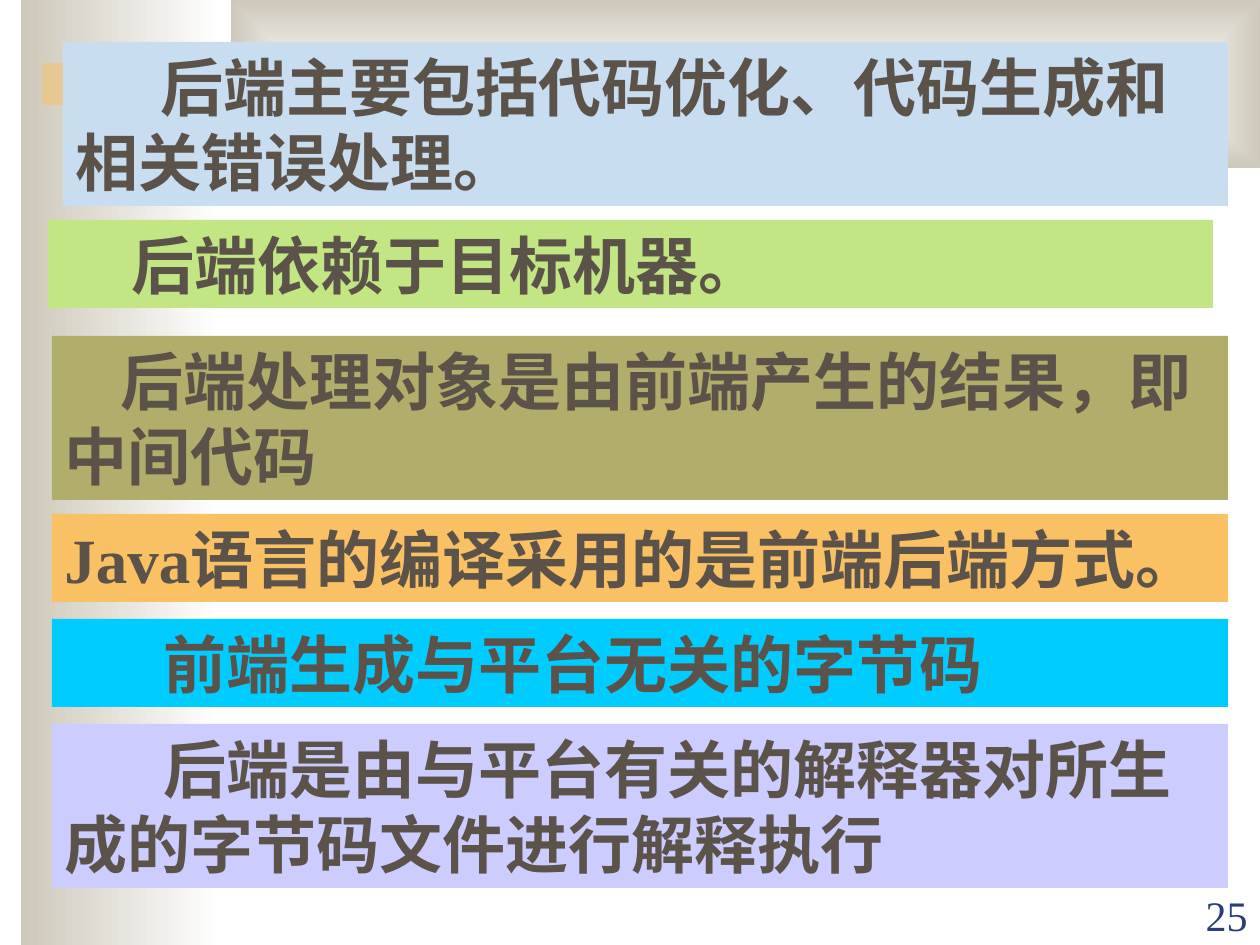
import lxml.etree
import pptx
import pptx.dml.color
import pptx.enum.shapes
import pptx.enum.text
import pptx.oxml.ns
import pptx.util

COLORS = {
    "white": "FFFFFF", "sand": "CEC8BA", "orange": "FAC164", "sky": "C9DDF1",
    "green": "C3E684", "olive": "B0AE6A", "cyan": "00CCFF", "lilac": "CCCCFF",
    "text": "5B5249", "number": "2A3D7A",
}
EMU_PER_PX = 914400 // 126
BODY = {"size": pptx.util.Pt(36), "name": "Times New Roman", "bold": True}
NUMBER = {"size": pptx.util.Pt(24), "name": "Times New Roman"}
ONE_LINE, TWO_LINES = 88, 164


def px(n):
    return pptx.util.Emu(n * EMU_PER_PX)


def rgb(name):
    return pptx.dml.color.RGBColor.from_string(COLORS[name])


def add_xml(parent, tag, **attributes):
    name = pptx.oxml.ns.qn(tag)
    return lxml.etree.SubElement(parent, name, attributes)


class SlideBuilder:
    def __init__(self, prs):
        self.s = prs.slides.add_slide(prs.slide_layouts[6])

    def rect(self, x, y, w, h):
        kind = pptx.enum.shapes.MSO_SHAPE.RECTANGLE
        sp = self.s.shapes.add_shape(kind, px(x), px(y), px(w), px(h))
        sp.shadow.inherit = False
        sp.line.fill.background()
        return sp

    def solid(self, box, color, alpha=None):
        sp = self.rect(*box)
        sp.fill.solid()
        sp.fill.fore_color.rgb = rgb(color)
        if alpha is not None:
            clr = sp._element.spPr.find(".//" + pptx.oxml.ns.qn("a:srgbClr"))
            add_xml(clr, "a:alpha", val=str(alpha * 1000))
        return sp

    def gradient(self, box, colors, from_center=False):
        sp = self.rect(*box)
        sp.fill.gradient()
        sp.fill.gradient_angle = 180
        for stop, color in zip(sp.fill.gradient_stops, colors):
            stop.color.rgb = rgb(color)
        if from_center:
            lin = sp._element.spPr.find(".//" + pptx.oxml.ns.qn("a:lin"))
            grad = lin.getparent()
            grad.remove(lin)
            shade = add_xml(grad, "a:path", path="rect")
            add_xml(shade, "a:fillToRect", **dict.fromkeys("ltrb", "50000"))

    def put_text(self, sp, text, color, font, align, anchor):
        tf = sp.text_frame
        tf.word_wrap = True
        tf.vertical_anchor = anchor
        p = tf.paragraphs[0]
        p.alignment = align
        r = p.add_run()
        r.text = text
        for key, value in font.items():
            setattr(r.font, key, value)
        r.font.color.rgb = rgb(color)
        return p

    def band(self, box, fill, indent, text):
        sp = self.solid(box, fill)
        p = self.put_text(sp, text, "text", BODY, pptx.enum.text.PP_ALIGN.LEFT,
                          pptx.enum.text.MSO_ANCHOR.TOP)
        pPr = p._p.get_or_add_pPr()
        pPr.set("marL", "0")
        pPr.set("indent", str(px(indent)))
        sp.text_frame.auto_size = pptx.enum.text.MSO_AUTO_SIZE.SHAPE_TO_FIT_TEXT

    def page_number(self, box, text):
        sp = self.s.shapes.add_textbox(*map(px, box))
        self.put_text(sp, text, "number", NUMBER, pptx.enum.text.PP_ALIGN.RIGHT,
                      pptx.enum.text.MSO_ANCHOR.BOTTOM)


def main():
    prs = pptx.Presentation()
    prs.slide_width, prs.slide_height = px(1260), px(945)
    b = SlideBuilder(prs)
    b.gradient((21, 0, 199, 945), ("white", "sand"))
    b.gradient((231, 0, 1029, 168), ("white", "sand"), from_center=True)
    b.solid((42, 63, 388, 42), "orange", alpha=50)

    bands = [
        (63, 42, 1165, TWO_LINES, "sky", 85, "后端主要包括代码优化、代码生成和相关错误处理。"),
        (48, 220, 1165, ONE_LINE, "green", 71, "后端依赖于目标机器。"),
        (52, 336, 1176, TWO_LINES, "olive", 56, "后端处理对象是由前端产生的结果，即中间代码"),
        (52, 514, 1176, ONE_LINE, "orange", 0, "Java语言的编译采用的是前端后端方式。"),
        (52, 619, 1176, ONE_LINE, "cyan", 99, "前端生成与平台无关的字节码"),
        (52, 724, 1176, TWO_LINES, "lilac", 99, "后端是由与平台有关的解释器对所生成的字节码文件进行解释执行"),
    ]
    for x, y, w, h, fill, indent, text in bands:
        b.band((x, y, w, h), fill, indent, text)
    b.page_number((1134, 883, 126, 63), "25")
    prs.save("out.pptx")


if __name__ == "__main__":
    main()
